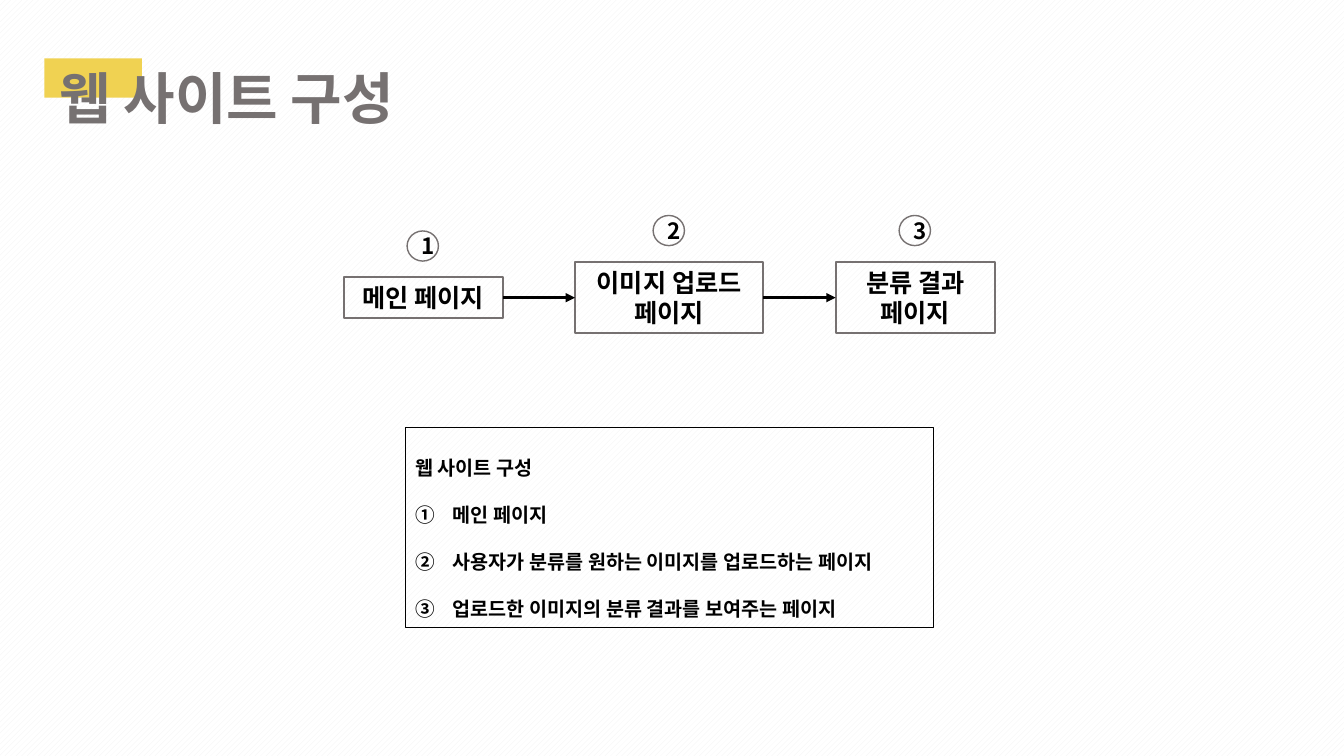
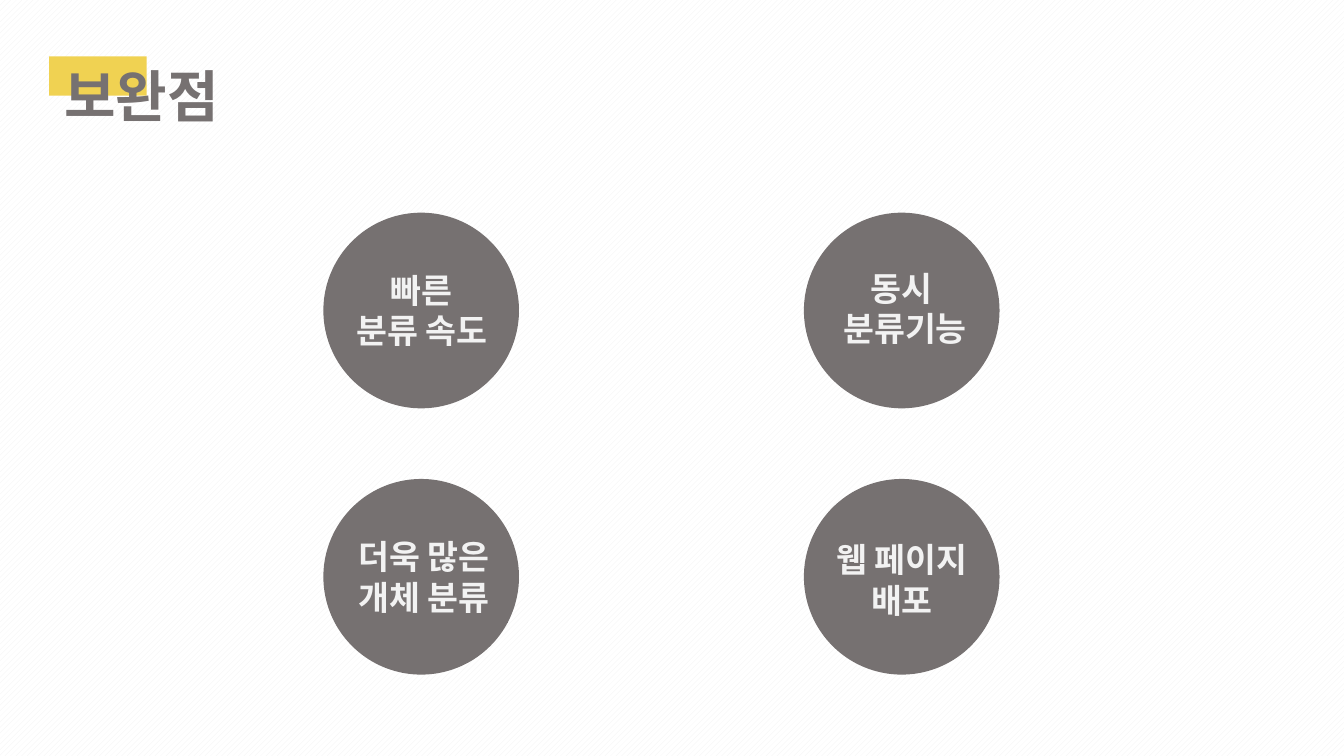
from lxml import etree
from pptx import Presentation
from pptx.dml.color import RGBColor
from pptx.enum.dml import MSO_PATTERN
from pptx.enum.shapes import MSO_CONNECTOR, MSO_SHAPE
from pptx.enum.text import MSO_ANCHOR, MSO_AUTO_SIZE, PP_ALIGN
from pptx.oxml.ns import qn
from pptx.util import Cm, Pt

RECT, OVAL = MSO_SHAPE.RECTANGLE, MSO_SHAPE.OVAL
STRAIGHT = MSO_CONNECTOR.STRAIGHT
STRIPES = MSO_PATTERN.WIDE_UPWARD_DIAGONAL
TOP, MIDDLE = MSO_ANCHOR.TOP, MSO_ANCHOR.MIDDLE
LEFT, CENTER = PP_ALIGN.LEFT, PP_ALIGN.CENTER
FIT_SHAPE = MSO_AUTO_SIZE.SHAPE_TO_FIT_TEXT
LEFT_SIDE, RIGHT_SIDE = 1, 3

FONT = "Noto Sans CJK KR"
COLORS = {
    "accent": "F0D252",
    "gray": "767171",
    "pale": "F2F2F2",
    "white": "FFFFFF",
    "black": "000000",
}


def rgb(name):
    return RGBColor.from_string(COLORS[name])


def write(shape, text, size=18, color="black", align=CENTER, anchor=TOP,
          wrap=True, grow=True, spacing=None, numbered_from=None):
    """Fill a shape with bold text; lines from index numbered_from get circled numbers."""
    frame = shape.text_frame
    frame.word_wrap = wrap
    frame.vertical_anchor = anchor
    if grow:
        frame.auto_size = FIT_SHAPE
    for index, line in enumerate(text.split("\n")):
        paragraph = frame.add_paragraph() if index else frame.paragraphs[0]
        if numbered_from is not None and index >= numbered_from:
            add_number(paragraph)
        paragraph.alignment = align
        if spacing:
            paragraph.line_spacing = spacing
        run = paragraph.add_run()
        run.text = line
        run.font.name = FONT
        run.font.size = Pt(size)
        run.font.bold = True
        run.font.color.rgb = rgb(color)
        east_asian = etree.Element(qn("a:ea"), typeface=FONT)
        run.font._element.find(qn("a:latin")).addnext(east_asian)


def add_number(paragraph):
    properties = paragraph._p.get_or_add_pPr()
    properties.set("marL", str(Cm(0.95)))
    properties.set("indent", str(-Cm(0.95)))
    etree.SubElement(properties, qn("a:buFont"), typeface="+mj-lt")
    etree.SubElement(properties, qn("a:buAutoNum"), type="circleNumDbPlain")


class Deck:
    def __init__(self):
        self.prs = Presentation()
        self.prs.slide_width, self.prs.slide_height = Cm(33.87), Cm(19.05)
        backdrop = self.prs.slide_master.background.fill
        backdrop.patterned()
        backdrop.pattern = STRIPES
        backdrop.fore_color.rgb = rgb("pale")
        backdrop.back_color.rgb = rgb("white")
        self.slide = None

    def start_slide(self, title, left, top, title_width):
        self.slide = self.prs.slides.add_slide(self.prs.slide_layouts[6])
        self.shape(RECT, left, top, 2.46, 0.99, fill="accent")
        heading = self.slide.shapes.add_textbox(
            Cm(left + 0.13), Cm(top), Cm(title_width), Cm(1.96))
        write(heading, title, size=40, color="gray", align=LEFT)

    def shape(self, kind, left, top, width, height, fill=None, line=None,
              line_width=1.5):
        shape = self.slide.shapes.add_shape(
            kind, Cm(left), Cm(top), Cm(width), Cm(height))
        shape.shadow.inherit = False
        if fill:
            shape.fill.solid()
            shape.fill.fore_color.rgb = rgb(fill)
        else:
            shape.fill.background()
        if line:
            shape.line.color.rgb = rgb(line)
            shape.line.width = Pt(line_width)
        else:
            shape.line.fill.background()
        return shape

    def arrow(self, source, target):
        """Join the right side of source to the left side of target."""
        arrow = self.slide.shapes.add_connector(STRAIGHT, 0, 0, 0, 0)
        arrow.begin_connect(source, RIGHT_SIDE)
        arrow.end_connect(target, LEFT_SIDE)
        arrow.line.color.rgb = rgb("black")
        arrow.line.width = Pt(2.25)
        etree.SubElement(arrow.line._get_or_add_ln(), qn("a:tailEnd"), type="triangle")
        etree.SubElement(arrow._element.spPr, qn("a:effectLst"))


def build_site_structure(deck):
    deck.start_slide("웹 사이트 구성", 1.12, 1.47, title_width=11.96)

    flow_middle, gap = 7.5, 1.82
    left, previous = 8.66, None
    pages = [("메인 페이지", 4.01, 1.02),
             ("이미지 업로드 페이지", 4.75, 1.8),
             ("분류 결과 페이지", 4.01, 1.8)]
    for index, (name, width, height) in enumerate(pages):
        top = flow_middle - height / 2
        page = deck.shape(RECT, left, top, width, height, line="gray")
        write(page, name)
        number = deck.shape(OVAL, 10.26 + 6.2 * index, top - 1.17, 0.79, 0.76,
                            line="gray", line_width=1)
        write(number, str(index + 1), size=16, anchor=MIDDLE, grow=False)
        if previous:
            deck.arrow(previous, page)
        previous = page
        left += width + gap

    legend = deck.shape(RECT, 10.21, 10.77, 13.31, 5.05, line="black", line_width=0.75)
    write(legend,
          "웹 사이트 구성\n"
          "메인 페이지\n"
          "사용자가 분류를 원하는 이미지를 업로드하는 페이지\n"
          "업로드한 이미지의 분류 결과를 보여주는 페이지",
          size=14, align=LEFT, wrap=False, spacing=2.0, numbered_from=1)


def build_improvements(deck):
    deck.start_slide("보완점", 1.24, 1.42, title_width=9.63)

    # Text, then the label's offset in its circle and its width
    improvements = [("빠른\n분류 속도", 0.36, 1.32, 4.24),
                    ("동시 \n분류기능", 0.58, 1.27, 3.94),
                    ("더욱 많은\n개체 분류", 0.41, 1.32, 4.24),
                    ("웹 페이지\n배포", 0.35, 1.39, 4.24)]
    for index, (text, dx, dy, width) in enumerate(improvements):
        row, column = divmod(index, 2)
        left, top = 8.15 + 12.11 * column, 5.36 + 6.71 * row
        deck.shape(OVAL, left, top, 4.93, 4.93, fill="gray")
        label = deck.shape(RECT, left + dx, top + dy, width, 2.31, fill="gray")
        write(label, text, size=24, color="pale", wrap=False)


def main():
    deck = Deck()
    build_site_structure(deck)
    build_improvements(deck)
    deck.prs.save("out.pptx")


if __name__ == "__main__":
    main()
